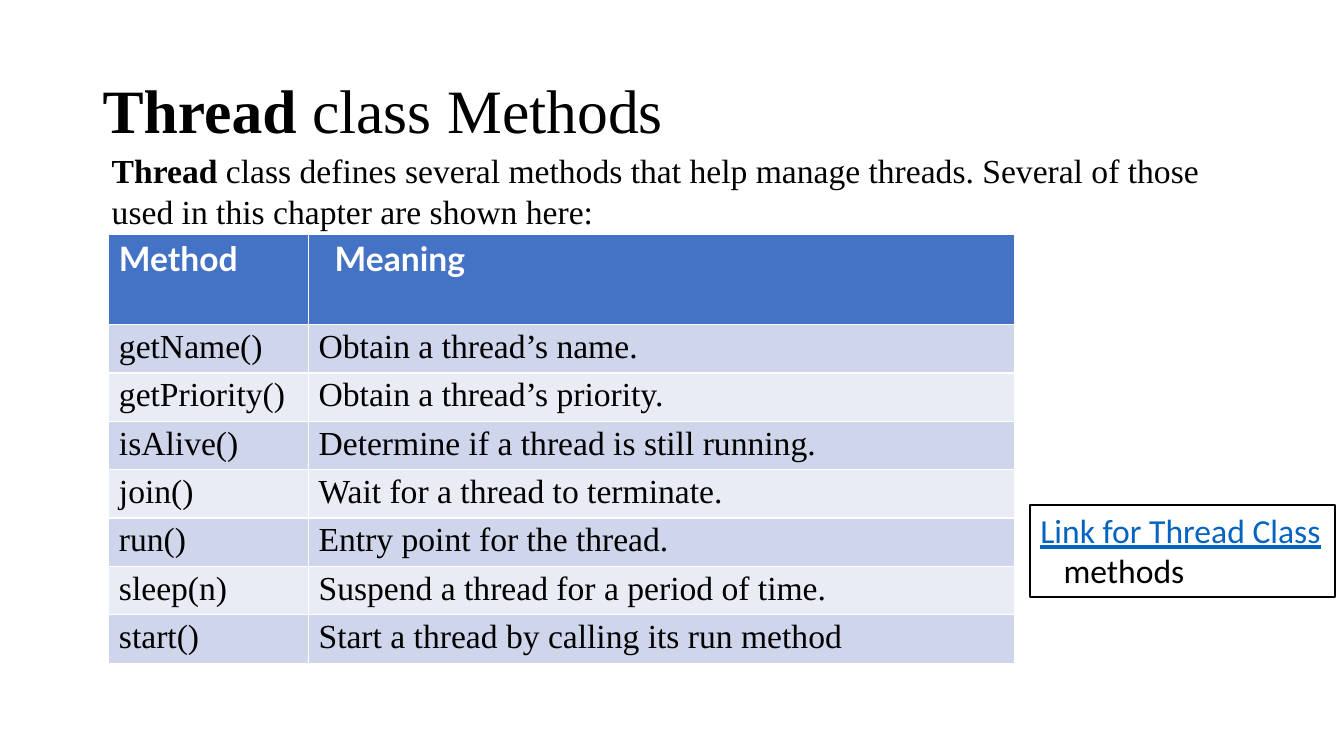
from pptx import Presentation
from pptx import util as u
from pptx.dml.color import RGBColor
from pptx.enum import shapes, text

HUES = {"ink": "000000", "white": "FFFFFF", "head": "4472C4",
        "odd": "CFD5EA", "even": "E9EBF5", "link": "0563C1"}
SERIF, HEAD, SANS = "Times New Roman", "Lato", "Calibri"
METHODS = [
    ("getName()", "Obtain a thread’s name."),
    ("getPriority()", "Obtain a thread’s priority."),
    ("isAlive()", "Determine if a thread is still running."),
    ("join()", "Wait for a thread to terminate."),
    ("run()", "Entry point for the thread."),
    ("sleep(n)", "Suspend a thread for a period of time."),
    ("start()", "Start a thread by calling its run method"),
]


def hue(name):
    return RGBColor.from_string(HUES[name])


class Page:
    def __init__(self, slide):
        self.slide = slide
        self.base = {"name": SERIF, "size": u.Pt(24), "bold": False}

    def fill_in(self, para, runs):
        """Add runs given as (words, format changes) pairs."""
        for words, change in runs:
            run = para.add_run()
            run.text = words
            style = {**self.base, **change}
            run.font.color.rgb = hue(style.pop("hue", "ink"))
            for key, value in style.items():
                setattr(run.font, key, value)

    def label(self, box, paras, anchor=text.MSO_ANCHOR.TOP, lead=1.0):
        shape = self.slide.shapes.add_textbox(*map(u.Inches, box))
        frame = shape.text_frame
        frame.word_wrap = True
        frame.vertical_anchor = anchor
        for i, runs in enumerate(paras):
            para = frame.add_paragraph() if i else frame.paragraphs[0]
            para.line_spacing = lead
            self.fill_in(para, runs)

    def frame(self, box, runs, hang):
        """Draw an outlined box whose wrapped lines are indented by hang."""
        shape = self.slide.shapes.add_shape(
            shapes.MSO_SHAPE.RECTANGLE, *map(u.Inches, box))
        shape.shadow.inherit = False
        shape.fill.background()
        shape.line.color.rgb = hue("ink")
        shape.line.width = u.Pt(1.5)
        shape.text_frame.word_wrap = True
        shape.text_frame.vertical_anchor = text.MSO_ANCHOR.TOP
        para = shape.text_frame.paragraphs[0]
        para.alignment = text.PP_ALIGN.LEFT
        props = para._p.get_or_add_pPr()
        props.set("marL", str(u.Inches(hang)))
        props.set("indent", str(-u.Inches(hang)))
        self.fill_in(para, runs)

    def cell(self, cell, words, fill, change):
        cell.fill.solid()
        cell.fill.fore_color.rgb = hue(fill)
        cell.margin_top = cell.margin_bottom = u.Inches(0.04)
        self.fill_in(cell.text_frame.paragraphs[0], [(words, change)])

    def table(self, left, top, widths, first, rest, head, rows):
        heights = [first] + [rest] * len(rows)
        grid = self.slide.shapes.add_table(
            len(heights), len(widths), u.Inches(left), u.Inches(top),
            u.Inches(sum(widths)), u.Inches(sum(heights))).table
        for col, width in zip(grid.columns, widths):
            col.width = u.Inches(width)
        for r, (height, row) in enumerate(zip(heights, [head] + rows)):
            grid.rows[r].height = u.Inches(height)
            fill = ("odd" if r % 2 else "even") if r else "head"
            change = {} if r else {"name": HEAD, "bold": True, "hue": "white"}
            for c, words in enumerate(row):
                self.cell(grid.cell(r, c), words, fill, change)
        grid.cell(0, 1).margin_left = u.Inches(0.26)


def main():
    deck = Presentation()
    deck.slide_width, deck.slide_height = u.Inches(13.33), u.Inches(7.5)
    page = Page(deck.slides.add_slide(deck.slide_layouts[6]))
    big, bold = {"size": u.Pt(44)}, {"bold": True}
    page.label((0.92, 0.4, 11.5, 1.45),
               [[("Thread ", {**big, **bold}), ("class Methods", big)]],
               text.MSO_ANCHOR.MIDDLE, 0.9)
    page.table(1.08, 2.33, (1.98, 7), 0.89, 0.47,
               ("Method", "Meaning"), METHODS)
    page.label((1.01, 1.44, 11.81, 0.91), [
        [("Thread ", bold),
         ("class defines several methods that help manage threads. "
          "Several of those", {})],
        [("used in this chapter are shown here:", {})]])
    page.frame((10.22, 5.01, 3.02, 0.91), [
        ("Link for Thread Class",
         {"name": SANS, "hue": "link", "underline": True}),
        (" methods", {"name": SANS})], 0.23)
    deck.save("out.pptx")


if __name__ == "__main__":
    main()
